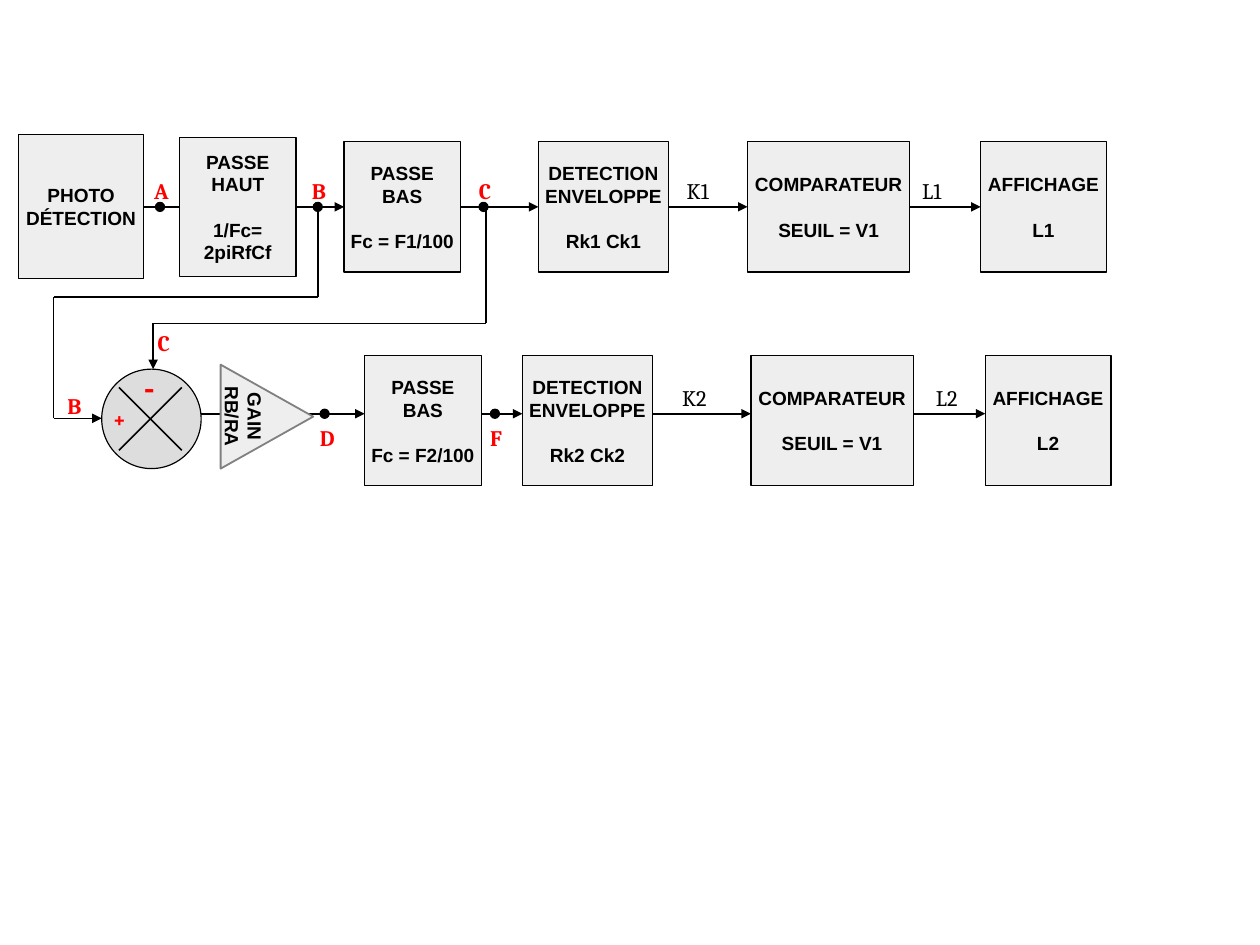
from dataclasses import dataclass
from itertools import pairwise

from lxml import etree
from pptx import Presentation
from pptx.dml.color import RGBColor
from pptx.enum.shapes import MSO_CONNECTOR, MSO_SHAPE
from pptx.enum.text import MSO_ANCHOR, PP_ALIGN
from pptx.oxml.ns import qn
from pptx.util import Inches, Pt

STRAIGHT = MSO_CONNECTOR.STRAIGHT
RECTANGLE, ELLIPSE, TRIANGLE = MSO_SHAPE.RECTANGLE, MSO_SHAPE.OVAL, MSO_SHAPE.ISOSCELES_TRIANGLE
MIDDLE, CENTER = MSO_ANCHOR.MIDDLE, PP_ALIGN.CENTER
RIGHT_SIDE, LEFT_SIDE = 3, 1
CM_PER_INCH = 2.54


@dataclass(frozen=True)
class Theme:
    ink: RGBColor = RGBColor(0, 0, 0)
    signal: RGBColor = RGBColor(255, 0, 0)
    block: RGBColor = RGBColor(0xEE, 0xEE, 0xEE)
    summing: RGBColor = RGBColor(0xDD, 0xDD, 0xDD)
    gain_edge: RGBColor = RGBColor(0x80, 0x80, 0x80)
    block_font: str = "Arial"
    label_font: str = "Cambria"
    block_size: int = 12
    label_size: int = 14
    minus_size: int = 22
    detail_gap: int = 14
    hairline: float = 0
    wire: float = 1
    gain_line: float = 1.13


class Diagram:
    """Draws the blocks, wires and labels of a signal chain on one slide."""

    def __init__(self, slide, theme):
        self.shapes = slide.shapes
        self.theme = theme

    def style_run(self, paragraph, font, size, color, bold):
        for run in paragraph.runs:
            run.font.name = font
            run.font.size = Pt(size)
            run.font.color.rgb = color
            run.font.bold = bold

    def figure(self, kind, left, top, width, height, fill, edge=None, weight=None):
        shape = self.shapes.add_shape(kind, Inches(left), Inches(top), Inches(width), Inches(height))
        shape.shadow.inherit = False
        shape.fill.solid()
        shape.fill.fore_color.rgb = fill
        shape.line.color.rgb = edge or self.theme.ink
        shape.line.width = Pt(weight or self.theme.hairline)
        return shape

    def caption(self, shape, title, detail=None):
        frame = shape.text_frame
        frame.word_wrap = False
        frame.vertical_anchor = MIDDLE
        paragraph = frame.paragraphs[0]
        paragraph.text = title
        if detail:
            paragraph = frame.add_paragraph()
            paragraph.text = detail
            paragraph.space_before = Pt(self.theme.detail_gap)
        for paragraph in frame.paragraphs:
            paragraph.alignment = CENTER
            self.style_run(paragraph, self.theme.block_font, self.theme.block_size, self.theme.ink, True)

    def block(self, center_y, left, width, height, title, detail=None):
        shape = self.figure(RECTANGLE, left, center_y - height / 2, width, height, self.theme.block)
        self.caption(shape, title, detail)
        return shape

    def gain(self, left, top, width, height, title):
        shape = self.figure(TRIANGLE, left, top, width, height, self.theme.block,
                            self.theme.gain_edge, self.theme.gain_line)
        shape.rotation = 90
        self.caption(shape, title)

    def wire(self, start, end, arrow=False):
        line = self.shapes.add_connector(STRAIGHT, *(Inches(value) for value in (*start, *end)))
        line.line.color.rgb = self.theme.ink
        line.line.width = Pt(self.theme.wire)
        if arrow:
            etree.SubElement(line.line._get_or_add_ln(), qn("a:tailEnd"), type="triangle")
        etree.SubElement(line._element.spPr, qn("a:effectLst"))
        return line

    def join(self, source, target, arrow=True):
        line = self.wire((0, 0), (1, 0), arrow)
        line.begin_connect(source, RIGHT_SIDE)
        line.end_connect(target, LEFT_SIDE)

    def route(self, *points):
        for start, end in pairwise(points):
            self.wire(start, end, arrow=end == points[-1])

    def node(self, left, top):
        self.figure(ELLIPSE, left, top, 0.08, 0.08, self.theme.ink)

    def label(self, text, left, top, color, bold=True, size=None):
        box = self.shapes.add_textbox(Inches(left), Inches(top), Inches(0.61), Inches(0.47))
        box.text_frame.word_wrap = True
        box.text_frame.text = text
        self.style_run(box.text_frame.paragraphs[0], self.theme.label_font,
                       size or self.theme.label_size, color, bold)


UPPER_Y, LOWER_Y, LOWER_WIRE_Y = 1.81, 3.68, 3.62
UPPER_BLOCKS = [
    (0.16, 1.1, 1.26, "PHOTO\vDÉTECTION"),
    (1.57, 1.02, 1.22, "PASSE\vHAUT", "1/Fc=\v2piRfCf"),
    (3.01, 1.02, 1.14, "PASSE\vBAS", "Fc = F1/100"),
    (4.71, 1.14, 1.14, "DETECTION\vENVELOPPE", "Rk1 Ck1"),
    (6.54, 1.42, 1.14, "COMPARATEUR", "SEUIL = V1"),
    (8.58, 1.1, 1.14, "AFFICHAGE", "L1"),
]
LOWER_BLOCKS = [
    (3.19, 1.02, 1.14, "PASSE\vBAS", "Fc = F2/100"),
    (4.57, 1.14, 1.14, "DETECTION\vENVELOPPE", "Rk2 Ck2"),
    (6.57, 1.42, 1.14, "COMPARATEUR", "SEUIL = V1"),
    (8.62, 1.1, 1.14, "AFFICHAGE", "L2"),
]
SIGNALS = [
    ("A", 1.25, 1.5), ("B", 2.63, 1.5), ("C", 4.09, 1.5), ("D", 2.7, 3.66),
    ("F", 4.19, 3.66), ("B", 0.49, 3.38), ("C", 1.28, 2.83), ("+", 0.89, 3.5),
]
OUTPUTS = [("K1", 5.91, 1.5), ("L1", 7.97, 1.5), ("K2", 5.87, 3.31), ("L2", 8.09, 3.31)]
UPPER_NODES, LOWER_NODES = (1.36, 2.74, 4.19), (2.8, 4.29)


def main():
    deck = Presentation()
    deck.slide_width = Inches(28 / CM_PER_INCH)
    deck.slide_height = Inches(21 / CM_PER_INCH)
    theme = Theme()
    diagram = Diagram(deck.slides.add_slide(deck.slide_layouts[6]), theme)

    diagram.wire((1.44, LOWER_WIRE_Y), (LOWER_BLOCKS[0][0], LOWER_WIRE_Y), arrow=True)
    upper = [diagram.block(UPPER_Y, *block) for block in UPPER_BLOCKS]
    for source, target in pairwise(upper):
        diagram.join(source, target, arrow=source is not upper[0])
    for block in LOWER_BLOCKS:
        diagram.block(LOWER_Y, *block)
    for source, target in pairwise(LOWER_BLOCKS):
        diagram.wire((source[0] + source[1], LOWER_WIRE_Y), (target[0], LOWER_WIRE_Y), arrow=True)

    diagram.figure(ELLIPSE, 0.89, 3.23, 0.87, 0.87, theme.summing)
    diagram.wire((1.59, 3.39), (1.04, 3.94))
    diagram.wire((1.04, 3.39), (1.59, 3.94))
    diagram.gain(1.88, 3.24, 0.91, 0.81, "GAIN\vRB/RA")
    diagram.route((2.78, UPPER_Y), (2.78, 2.6), (0.47, 2.6), (0.47, 3.66), (0.89, 3.66))
    diagram.route((4.25, UPPER_Y), (4.25, 2.83), (1.34, 2.83), (1.34, 3.23))

    for wire_y, nodes in ((UPPER_Y, UPPER_NODES), (LOWER_WIRE_Y, LOWER_NODES)):
        for left in nodes:
            diagram.node(left, wire_y - 0.04)
    for signal in SIGNALS:
        diagram.label(*signal, theme.signal)
    diagram.label("-", 1.16, 3.15, theme.signal, size=theme.minus_size)
    for output in OUTPUTS:
        diagram.label(*output, theme.ink, bold=False)

    deck.save("out.pptx")


if __name__ == "__main__":
    main()
